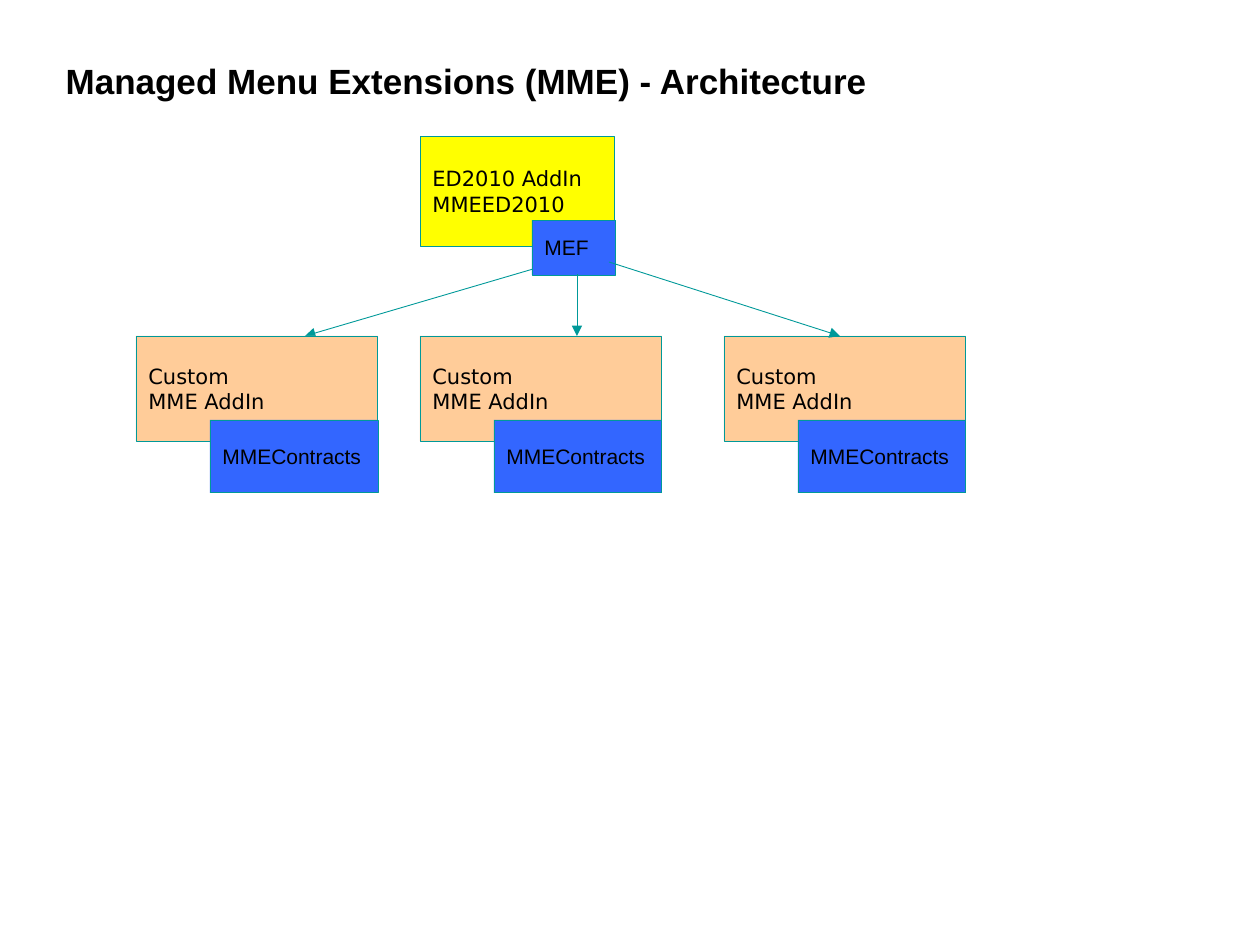
import pptx
import pptx.util
import pptx.dml.color
import pptx.enum.shapes
import pptx.enum.text
import pptx.oxml.ns
import lxml.etree

PX = 914400 // 126
TEAL, BLUE, YELLOW, PEACH = "009999", "3366FF", "FFFF00", "FFCC99"


def px(*values):
    return [pptx.util.Emu(round(v * PX)) for v in values]


def rgb(value):
    return pptx.dml.color.RGBColor.from_string(value)


def set_text(sp, text, size=12, font="Arial", bold=False, color="000000"):
    tf = sp.text_frame
    tf.word_wrap = True
    tf.vertical_anchor = pptx.enum.text.MSO_ANCHOR.MIDDLE
    tf.margin_left = tf.margin_right = pptx.util.Inches(0.1)
    tf.margin_top = tf.margin_bottom = pptx.util.Inches(0.05)
    for i, line in enumerate(text.split("\n")):
        p = tf.add_paragraph() if i else tf.paragraphs[0]
        p.alignment = pptx.enum.text.PP_ALIGN.LEFT
        r = p.add_run()
        r.text = line
        r.font.size = pptx.util.Pt(size)
        r.font.name = font
        r.font.bold = bold
        r.font.color.rgb = rgb(color)


def add_title(s, text):
    sp = s.shapes.title
    sp.left, sp.top, sp.width, sp.height = px(53, 53, 840, 55)
    set_text(sp, text, size=20, bold=True)


def add_box(group, box, text, fill, font="Arial"):
    sp = group.shapes.add_shape(pptx.enum.shapes.MSO_SHAPE.RECTANGLE, *px(*box))
    sp.shadow.inherit = False
    sp.fill.solid()
    sp.fill.fore_color.rgb = rgb(fill)
    sp.line.color.rgb = rgb(TEAL)
    sp.line.width = pptx.util.Pt(0.5)
    set_text(sp, text, font=font)


def add_arrow(s, start, end):
    line = s.shapes.add_connector(
        pptx.enum.shapes.MSO_CONNECTOR.STRAIGHT, *px(*start, *end))
    line.line.color.rgb = rgb(TEAL)
    line.line.width = pptx.util.Pt(0.5)
    qn = pptx.oxml.ns.qn
    lxml.etree.SubElement(line.line._get_or_add_ln(), qn("a:tailEnd"), type="triangle")
    lxml.etree.SubElement(line._element.spPr, qn("a:effectLst"))


def add_host(s):
    group = s.shapes.add_group_shape()
    add_box(group, (420, 136, 194, 110), "ED2010 AddIn MMEED2010", YELLOW, "DejaVu Sans")
    add_box(group, (532, 220, 84, 55), "MEF", BLUE)


def add_addin(s, left):
    group = s.shapes.add_group_shape()
    add_box(group, (left, 336, 242, 105), "Custom\nMME AddIn", PEACH, "DejaVu Sans")
    add_box(group, (left + 74, 420, 168, 73), "MMEContracts", BLUE)


def main():
    prs = pptx.Presentation()
    prs.slide_width, prs.slide_height = pptx.util.Inches(10), pptx.util.Inches(7.5)
    s = prs.slides.add_slide(prs.slide_layouts[5])
    add_title(s, "Managed Menu Extensions (MME) - Architecture")
    add_arrow(s, (557, 262), (305, 336))
    add_host(s)
    for left in (136, 724, 420):
        add_addin(s, left)
    add_arrow(s, (577, 274), (577, 336))
    add_arrow(s, (609, 262), (840, 336))
    prs.save("out.pptx")


main()
